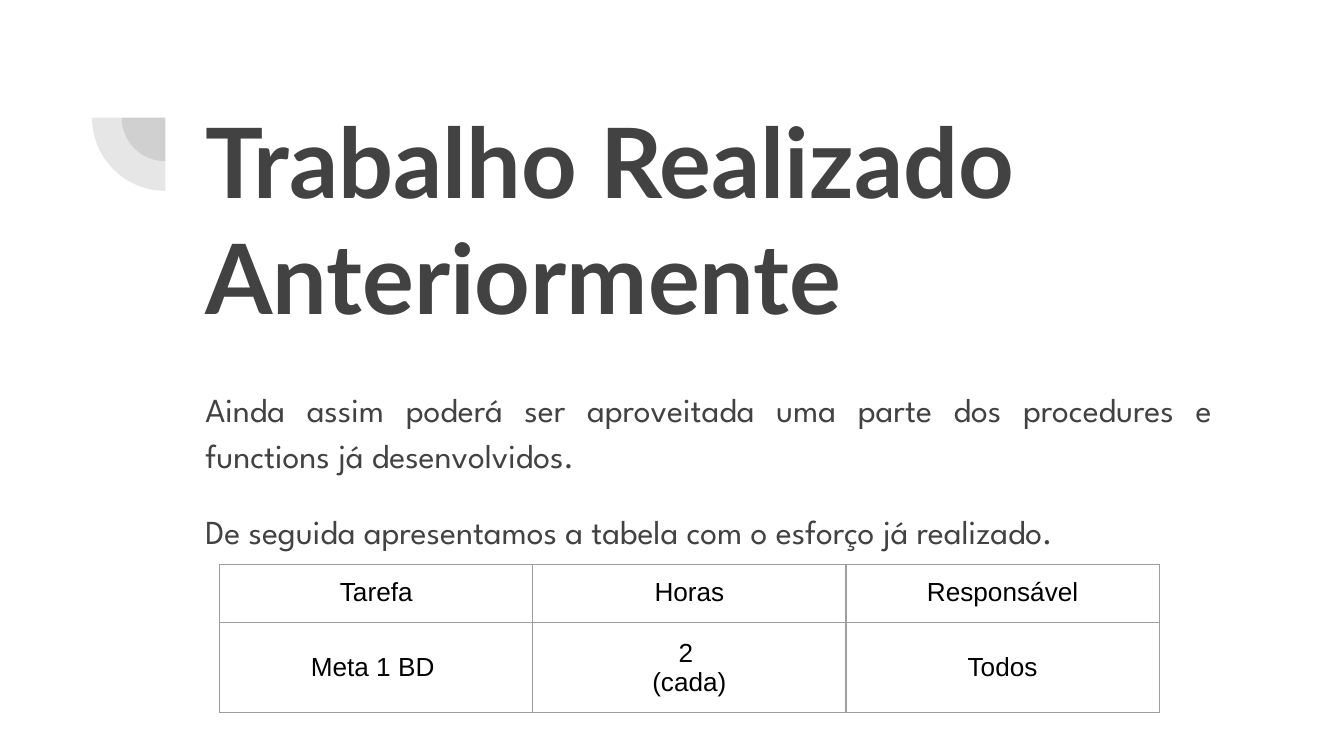
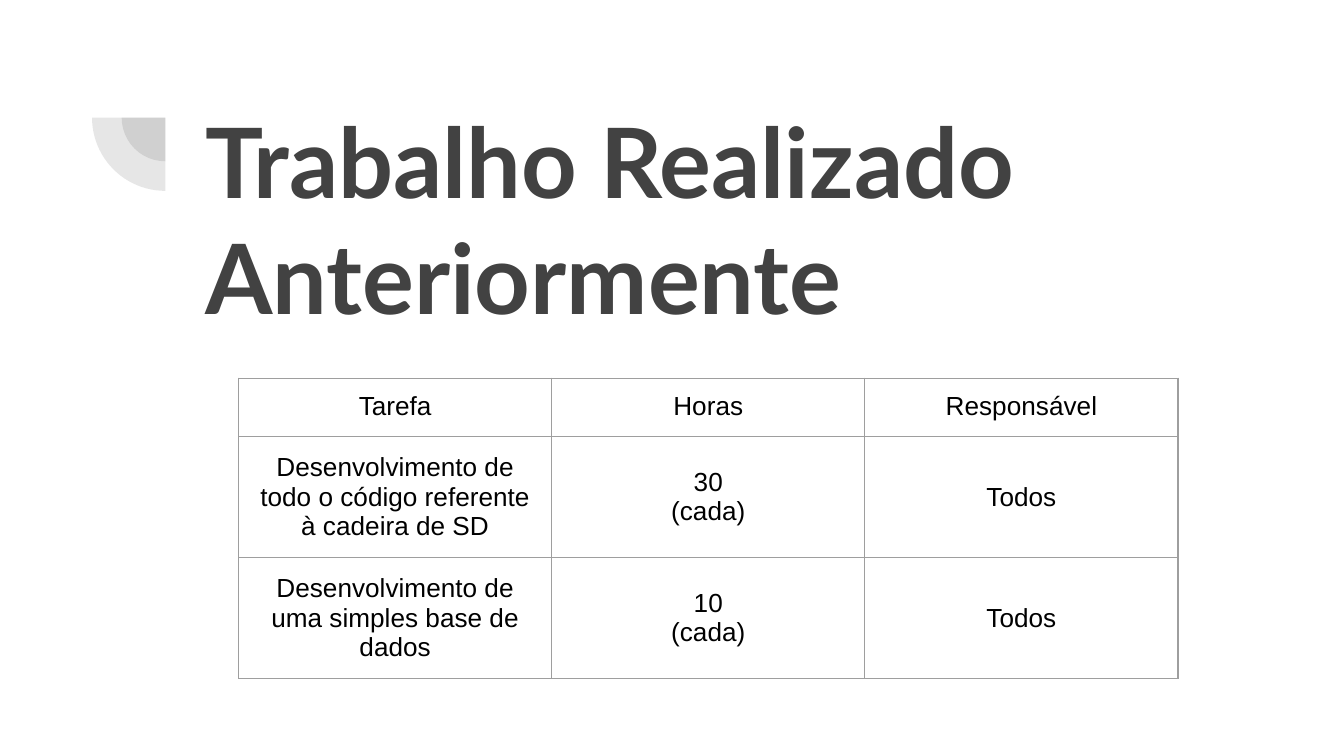
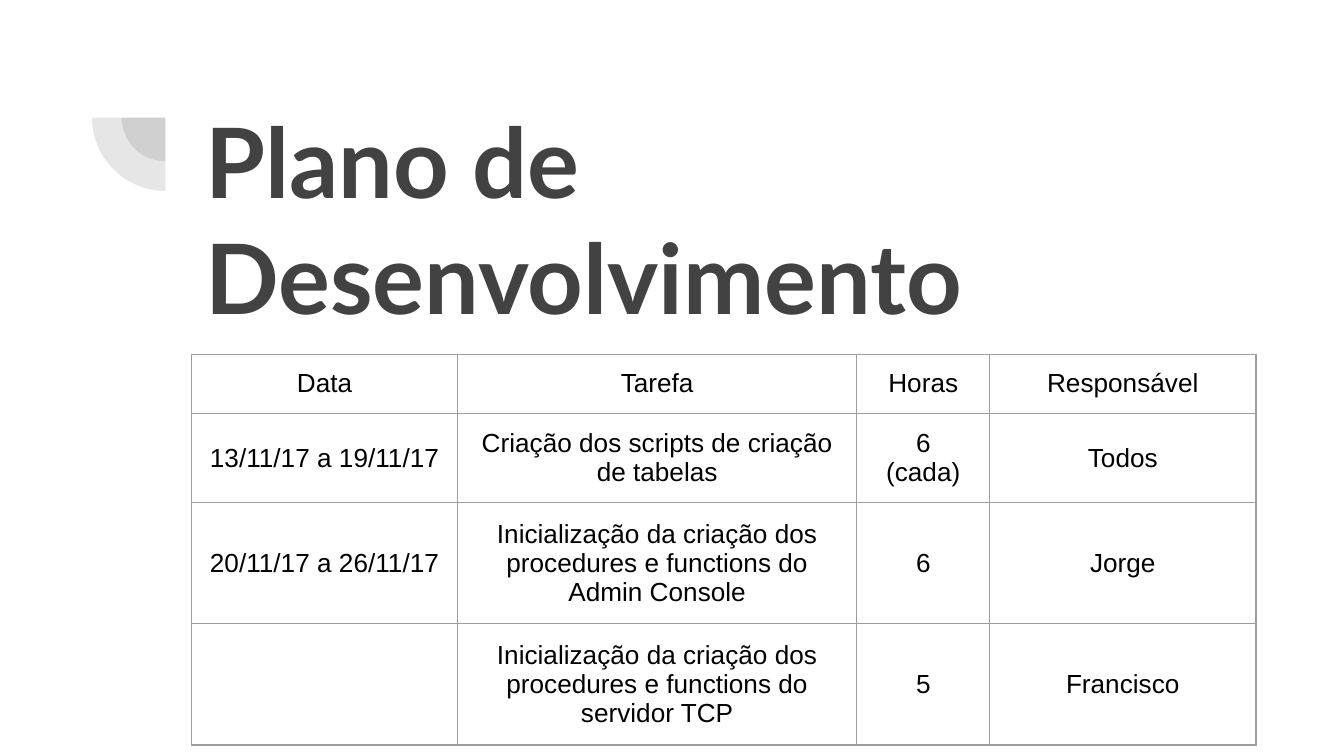
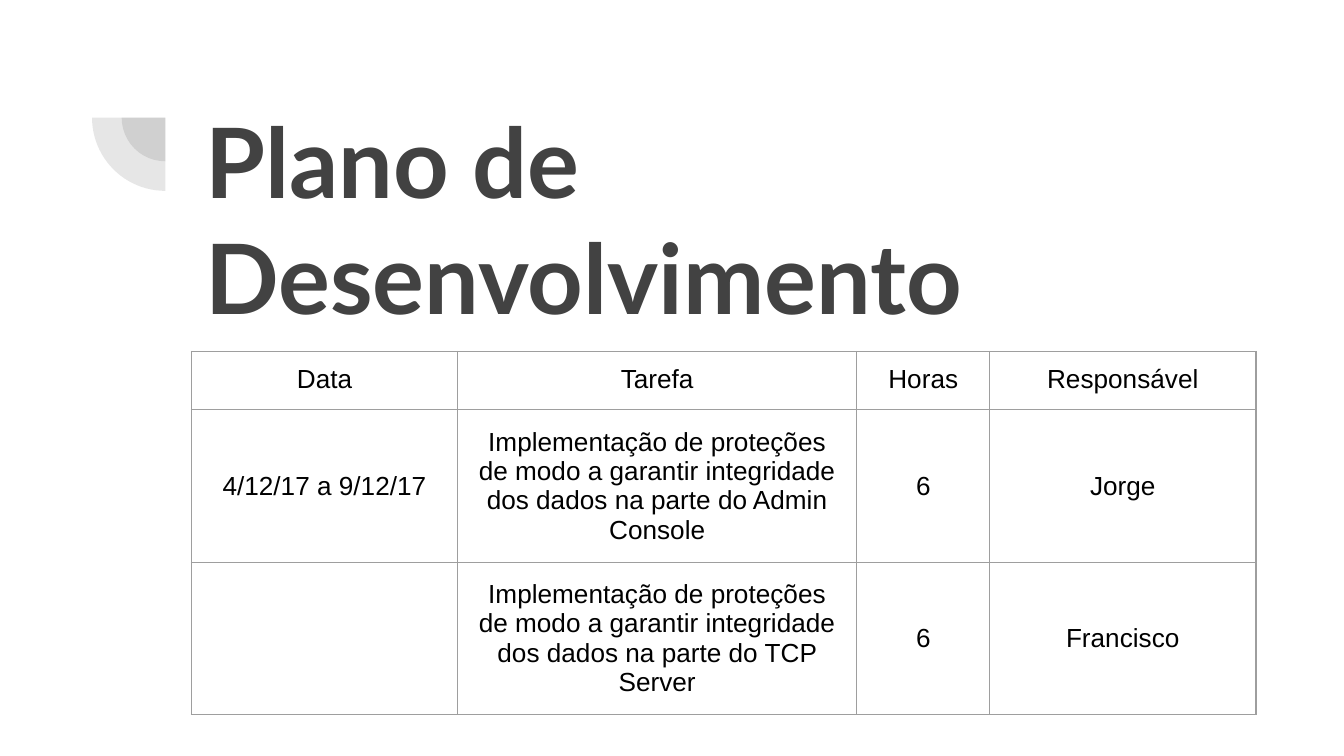
from lxml import etree
from pptx import Presentation
from pptx.dml.color import RGBColor
from pptx.enum.shapes import MSO_SHAPE
from pptx.enum.text import MSO_ANCHOR, PP_ALIGN
from pptx.oxml.ns import qn
from pptx.util import Pt

PIE = MSO_SHAPE.PIE
TOP, MIDDLE = MSO_ANCHOR.TOP, MSO_ANCHOR.MIDDLE
LEFT, CENTER, JUSTIFY = PP_ALIGN.LEFT, PP_ALIGN.CENTER, PP_ALIGN.JUSTIFY

SCALE = 4572  # EMU in one px, 200 px to the inch
COLORS = {"ink": "424242", "cell": "000000", "grid": "9E9E9E"}
PAD = 20
MARK = (137, 66, 218, 218)
TITLE = (286, 131, 1538, 218)
BODY = (286, 444, 1538, 556)

WORK = "Trabalho Realizado Anteriormente"
PLAN = "Plano de Desenvolvimento"
WORK_COLS = [466, 466, 466]
PLAN_COLS = [396, 594, 198, 396]
WORK_HEAD = ["Tarefa", "Horas", "Responsável"]
PLAN_HEAD = ["Data", *WORK_HEAD]

INTRO = [
    "Ainda assim poderá ser aproveitada uma parte dos procedures e functions já desenvolvidos.",
    "De seguida apresentamos a tabela com o esforço já realizado.",
]

SLIDES = [
    {"title": WORK, "body": INTRO, "at": (327, 840), "cols": WORK_COLS,
     "heights": [86, 132],
     "rows": [WORK_HEAD, ["Meta 1 BD ", "2 \n(cada)", "Todos"]]},
    {"title": WORK, "at": (355, 563), "cols": WORK_COLS,
     "heights": [82, 170, 172],
     "rows": [
         WORK_HEAD,
         ["Desenvolvimento de todo o código referente à cadeira de SD",
          "30\n(cada)", "Todos"],
         ["Desenvolvimento de uma simples base de dados",
          "10\n(cada)", "Todos"],
     ]},
    {"title": PLAN, "at": (285, 528), "cols": PLAN_COLS,
     "heights": [84] * 4,
     "rows": [
         PLAN_HEAD,
         ["13/11/17 a 19/11/17", "Criação dos scripts de criação de tabelas",
          "6\n(cada)", "Todos"],
         ["20/11/17 a 26/11/17",
          "Inicialização da criação dos procedures e functions do Admin Console",
          "6", "Jorge"],
         ["", "Inicialização da criação dos procedures e functions do servidor TCP",
          "5", "Francisco"],
     ]},
    {"title": PLAN, "at": (285, 523), "cols": PLAN_COLS,
     "heights": [84] * 3,
     "rows": [
         PLAN_HEAD,
         ["4/12/17 a 9/12/17",
          "Implementação de proteções de modo a garantir integridade "
          "dos dados na parte do Admin Console", "6", "Jorge"],
         ["", "Implementação de proteções de modo a garantir integridade "
          "dos dados na parte do TCP Server", "6", "Francisco"],
     ]},
]


def px(*sizes):
    return [size * SCALE for size in sizes]


def style(par, name, size, color, align, bold=False):
    """Format a paragraph and its runs, so that row heights follow the font."""
    par.alignment = align
    for part in (par, *par.runs):
        font = part.font
        font.name, font.size, font.bold = name, Pt(size), bold
        font.color.rgb = RGBColor.from_string(COLORS[color])


def pad(part, top=PAD):
    """Set the inner margins of a text frame or a cell."""
    part.margin_left, part.margin_right, part.margin_bottom = px(PAD, PAD, PAD)
    part.margin_top = top * SCALE


def add_mark(slide, box):
    """Two see-through quarter discs around the centre of the box."""
    left, top, width, height = box
    group = slide.shapes.add_group_shape()
    for inset in (44, 0):
        pie = group.shapes.add_shape(PIE, *px(
            left + inset, top + inset, width - 2 * inset, height - 2 * inset))
        pie.rotation = 270
        pie.adjustments[0], pie.adjustments[1] = 108, 162
        pie.shadow.inherit = False
        pie.line.fill.background()
        pie.fill.solid()
        pie.fill.fore_color.rgb = RGBColor.from_string(COLORS["ink"])
        tint = next(pie.fill._xPr.iter(qn("a:srgbClr")))
        etree.SubElement(tint, qn("a:alpha"), val="13000")


def add_text(slide, box, lines, top=PAD):
    frame = slide.shapes.add_textbox(*px(*box)).text_frame
    frame.word_wrap = True
    frame.vertical_anchor = TOP
    pad(frame, top)
    frame.text = "\n".join(lines)
    return frame.paragraphs


def add_title(slide, box, text):
    style(add_text(slide, box, [text])[0], "Lato", 52, "ink", LEFT, True)


def add_body(slide, box, lines):
    for par in add_text(slide, box, lines, top=125):
        style(par, "League Spartan", 18, "ink", JUSTIFY)
        par.line_spacing = 1.15
        par.space_after = Pt(16)


def add_edges(cell):
    props = cell._tc.get_or_add_tcPr()
    for index, side in enumerate(("lnL", "lnR", "lnT", "lnB")):
        edge = etree.Element(qn("a:" + side), w=str(Pt(0.75)))
        fill = etree.SubElement(edge, qn("a:solidFill"))
        etree.SubElement(fill, qn("a:srgbClr"), val=COLORS["grid"])
        props.insert(index, edge)


def add_grid(slide, at, cols, heights, rows):
    table = slide.shapes.add_table(
        len(rows), len(cols), *px(*at, sum(cols), sum(heights))).table
    table.first_row = table.horz_banding = False
    for col, width in zip(table.columns, px(*cols)):
        col.width = width
    for r, (row, height) in enumerate(zip(table.rows, px(*heights))):
        row.height = height
        for cell, text in zip(row.cells, rows[r]):
            cell.text = text
            cell.vertical_anchor = MIDDLE if r else TOP
            pad(cell)
            cell.fill.background()
            add_edges(cell)
            for par in cell.text_frame.paragraphs:
                style(par, "Arial", 14, "cell", CENTER)


def main():
    deck = Presentation()
    deck.slide_width, deck.slide_height = px(2000, 1125)
    for data in SLIDES:
        slide = deck.slides.add_slide(deck.slide_layouts[6])
        add_mark(slide, MARK)
        add_title(slide, TITLE, data["title"])
        if "body" in data:
            add_body(slide, BODY, data["body"])
        add_grid(slide, data["at"], data["cols"], data["heights"], data["rows"])
    deck.save("out.pptx")


if __name__ == "__main__":
    main()
